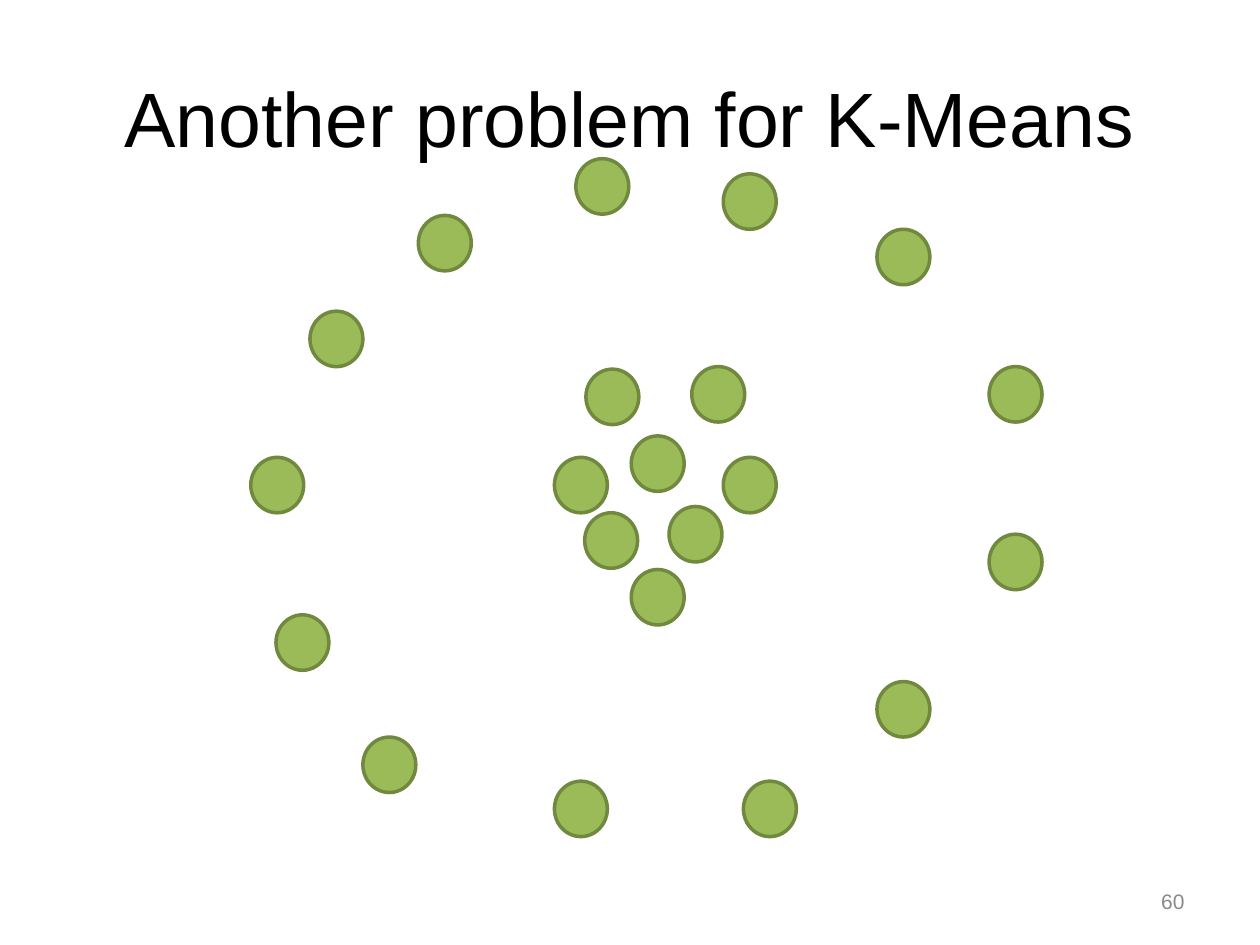
from typing import NamedTuple

import pptx
import pptx.dml.color
import pptx.enum.shapes
import pptx.enum.text
import pptx.slide
import pptx.util

RGBColor = pptx.dml.color.RGBColor
Align = pptx.enum.text.PP_ALIGN

BLACK = RGBColor(0x00, 0x00, 0x00)
GREY = RGBColor(0x89, 0x89, 0x89)
GREEN = RGBColor(0x9B, 0xBB, 0x59)
DARK_GREEN = RGBColor(0x71, 0x89, 0x3F)

COLUMNS, ROWS = 100, 75
CELL = pptx.util.Inches(0.1)
POINT_WIDTH, POINT_HEIGHT = 4.2, 4.4


class DataPoint(NamedTuple):
    column: float
    row: float


class Label(NamedTuple):
    text: str
    column: float
    row: float
    columns: float
    rows: float
    size: int
    color: RGBColor
    alignment: Align


INNER_CLUSTER = [
    DataPoint(54.9, 29.1),
    DataPoint(44, 36.3),
    DataPoint(57.4, 36.3),
    DataPoint(50.1, 45.2),
    DataPoint(50.1, 34.6),
    DataPoint(53.1, 40.2),
    DataPoint(46.4, 40.7),
    DataPoint(46.5, 29.3),
]
OUTER_RING = [
    DataPoint(19.9, 36.3),
    DataPoint(21.9, 48.8),
    DataPoint(28.8, 58.5),
    DataPoint(44, 62),
    DataPoint(59, 62),
    DataPoint(69.6, 54.1),
    DataPoint(78.5, 42.4),
    DataPoint(78.5, 29.1),
    DataPoint(69.6, 18.2),
    DataPoint(57.4, 13.8),
    DataPoint(45.7, 12.6),
    DataPoint(33.2, 17.1),
    DataPoint(24.6, 24.7),
]
TITLE = Label("Another problem for K-Means", 5, 3, 90, 12.5, 44, BLACK, Align.CENTER)
PAGE_NUMBER = Label("60", 71.7, 69.5, 23.3, 4, 12, GREY, Align.RIGHT)


def cells(count: float) -> pptx.util.Emu:
    return pptx.util.Emu(round(count * CELL))


def draw_label(slide: pptx.slide.Slide, label: Label) -> None:
    box = slide.shapes.add_textbox(
        cells(label.column), cells(label.row), cells(label.columns), cells(label.rows)
    )
    frame = box.text_frame
    frame.word_wrap = True
    frame.vertical_anchor = pptx.enum.text.MSO_ANCHOR.MIDDLE
    paragraph = frame.paragraphs[0]
    paragraph.text = label.text
    paragraph.alignment = label.alignment
    paragraph.font.name = "Arial"
    paragraph.font.size = pptx.util.Pt(label.size)
    paragraph.font.color.rgb = label.color


def draw_point(slide: pptx.slide.Slide, point: DataPoint) -> None:
    circle = slide.shapes.add_shape(
        pptx.enum.shapes.MSO_SHAPE.OVAL,
        cells(point.column),
        cells(point.row),
        cells(POINT_WIDTH),
        cells(POINT_HEIGHT),
    )
    circle.shadow.inherit = False
    circle.fill.solid()
    circle.fill.fore_color.rgb = GREEN
    circle.line.color.rgb = DARK_GREEN
    circle.line.width = pptx.util.Pt(2)


def main() -> None:
    presentation = pptx.Presentation()
    presentation.slide_width = cells(COLUMNS)
    presentation.slide_height = cells(ROWS)
    slide = presentation.slides.add_slide(presentation.slide_layouts[6])
    for label in (TITLE, PAGE_NUMBER):
        draw_label(slide, label)
    for point in INNER_CLUSTER + OUTER_RING:
        draw_point(slide, point)
    presentation.save("out.pptx")


if __name__ == "__main__":
    main()
